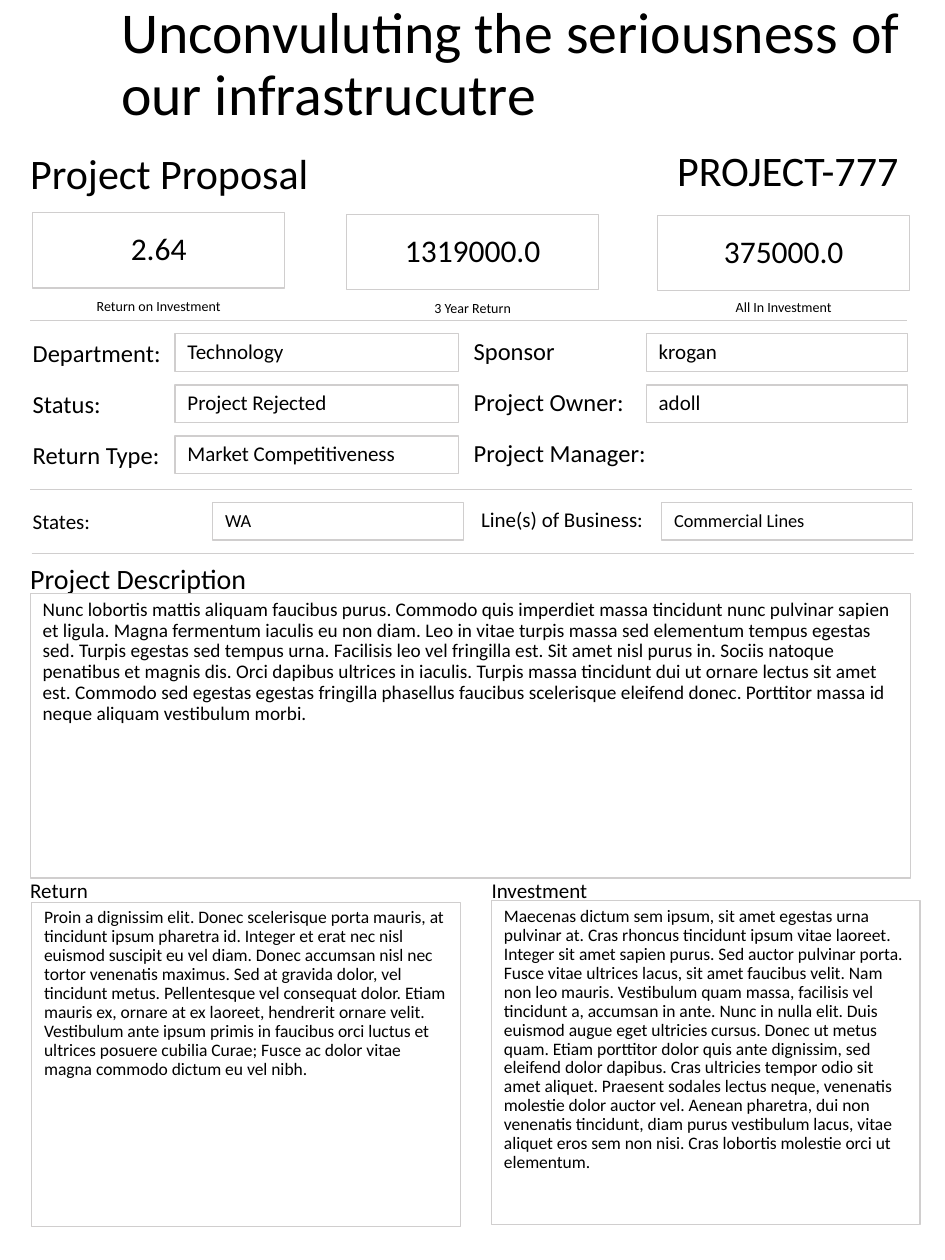
from lxml.etree import SubElement
from pptx import Presentation
from pptx.dml.color import RGBColor
from pptx.enum.shapes import MSO_CONNECTOR, MSO_SHAPE
from pptx.enum.text import MSO_ANCHOR as ANCHOR, MSO_AUTO_SIZE as AUTO, PP_ALIGN as ALIGN
from pptx.oxml.ns import qn
from pptx.util import Cm, Pt

BLACK = RGBColor(0x00, 0x00, 0x00)
GREY = RGBColor(0xD0, 0xCE, 0xCE)
FONT = "Calibri"

DESCRIPTION = (
    "Nunc lobortis mattis aliquam faucibus purus. Commodo quis imperdiet massa "
    "tincidunt nunc pulvinar sapien et ligula. Magna fermentum iaculis eu non diam. "
    "Leo in vitae turpis massa sed elementum tempus egestas sed. Turpis egestas sed "
    "tempus urna. Facilisis leo vel fringilla est. Sit amet nisl purus in. Sociis "
    "natoque penatibus et magnis dis. Orci dapibus ultrices in iaculis. Turpis massa "
    "tincidunt dui ut ornare lectus sit amet est. Commodo sed egestas egestas "
    "fringilla phasellus faucibus scelerisque eleifend donec. Porttitor massa id "
    "neque aliquam vestibulum morbi."
)
RETURN = (
    "Proin a dignissim elit. Donec scelerisque porta mauris, at tincidunt ipsum "
    "pharetra id. Integer et erat nec nisl euismod suscipit eu vel diam. Donec "
    "accumsan nisl nec tortor venenatis maximus. Sed at gravida dolor, vel tincidunt "
    "metus. Pellentesque vel consequat dolor. Etiam mauris ex, ornare at ex laoreet, "
    "hendrerit ornare velit. Vestibulum ante ipsum primis in faucibus orci luctus et "
    "ultrices posuere cubilia Curae; Fusce ac dolor vitae magna commodo dictum eu "
    "vel nibh."
)
INVESTMENT = (
    "Maecenas dictum sem ipsum, sit amet egestas urna pulvinar at. Cras rhoncus "
    "tincidunt ipsum vitae laoreet. Integer sit amet sapien purus. Sed auctor "
    "pulvinar porta. Fusce vitae ultrices lacus, sit amet faucibus velit. Nam non leo "
    "mauris. Vestibulum quam massa, facilisis vel tincidunt a, accumsan in ante. Nunc "
    "in nulla elit. Duis euismod augue eget ultricies cursus. Donec ut metus quam. "
    "Etiam porttitor dolor quis ante dignissim, sed eleifend dolor dapibus. Cras "
    "ultricies tempor odio sit amet aliquet. Praesent sodales lectus neque, venenatis "
    "molestie dolor auctor vel. Aenean pharetra, dui non venenatis tincidunt, diam "
    "purus vestibulum lacus, vitae aliquet eros sem non nisi. Cras lobortis molestie "
    "orci ut elementum."
)


class Sheet:
    """Style and current slide of the proposal."""

    def __init__(self, slide):
        self.s = slide

    def set_text(self, sp, text, size, align=ALIGN.LEFT, anchor=ANCHOR.TOP,
                 inset=True, spacing=None, before=0):
        tf = sp.text_frame
        tf.word_wrap = True
        tf.auto_size = AUTO.NONE
        tf.vertical_anchor = anchor
        tf.margin_left = tf.margin_right = Cm(0.25 if inset else 0)
        tf.margin_top = tf.margin_bottom = Cm(0.13 if inset else 0)
        p = tf.paragraphs[0]
        p.alignment = align
        p.space_before = Pt(before)
        if spacing:
            p.line_spacing = spacing
        r = p.add_run()
        r.text = text
        r.font.name, r.font.size = FONT, Pt(size)
        r.font.color.rgb = BLACK

    def title(self, text, x, y, w, h, size):
        sp = self.s.shapes.title
        sp.left, sp.top, sp.width, sp.height = Cm(x), Cm(y), Cm(w), Cm(h)
        self.set_text(sp, text, size, anchor=ANCHOR.MIDDLE, inset=False, spacing=0.9)

    def label(self, text, x, y, w, h, size, **style):
        sp = self.s.shapes.add_textbox(Cm(x), Cm(y), Cm(w), Cm(h))
        self.set_text(sp, text, size, **{"inset": False, **style})

    def box(self, text, x, y, w, h, size, **style):
        sp = self.s.shapes.add_shape(MSO_SHAPE.RECTANGLE, Cm(x), Cm(y), Cm(w), Cm(h))
        sp.shadow.inherit = False
        sp.fill.background()
        sp.line.color.rgb, sp.line.width = GREY, Pt(0.75)
        self.set_text(sp, text, size, spacing=0.9, before=7.5, **style)

    def rule(self, x1, x2, y):
        line = self.s.shapes.add_connector(
            MSO_CONNECTOR.STRAIGHT, Cm(x1), Cm(y), Cm(x2), Cm(y))
        line.line.color.rgb, line.line.width = GREY, Pt(0.5)
        SubElement(line._element.spPr, qn("a:effectLst"))


def main():
    prs = Presentation()
    prs.slide_width, prs.slide_height = Cm(19.05), Cm(25.4)
    sheet = Sheet(prs.slides.add_slide(prs.slide_layouts[5]))

    # Heading
    sheet.title("Unconvuluting the seriousness of our infrastrucutre",
                2.44, 0.69, 15.88, 1.27, 33)
    sheet.label("Project Proposal", 0.61, 2.97, 8.64, 1.02, 24)
    sheet.label("PROJECT-777", 9.8, 2.97, 8.56, 1.02, 24, align=ALIGN.RIGHT,
                anchor=ANCHOR.MIDDLE, inset=True, spacing=0.9, before=7.5)

    # Key figures
    for value, caption, x, y, caption_y in [
        ("2.64", "Return on Investment", 0.66, 4.29, 5.87),
        ("1319000.0", "3 Year Return", 6.99, 4.32, 5.9),
        ("375000.0", "All In Investment", 13.26, 4.34, 5.88),
    ]:
        sheet.box(value, x, y, 5.08, 1.52, 18, align=ALIGN.CENTER, anchor=ANCHOR.MIDDLE)
        sheet.label(caption, x, caption_y, 5.08, 0.51, 8, align=ALIGN.CENTER, inset=True)

    # Dividers
    for x1, x2, y in [(0.61, 18.29, 6.45), (0.61, 18.39, 9.86), (0.64, 18.42, 11.15)]:
        sheet.rule(x1, x2, y)

    # Project fields: one column of labels and boxes on each side
    for label_x, label_y, label_w, box_x, box_w, fields in [
        (0.66, 6.81, 2.8, 3.53, 5.72,
         [("Department:", "Technology"), ("Status:", "Project Rejected"),
          ("Return Type:", "Market Competitiveness")]),
        (9.55, 6.78, 3.6, 13.03, 5.26,
         [("Sponsor", "krogan"), ("Project Owner:", "adoll"), ("Project Manager:", None)]),
    ]:
        for row, (name, value) in enumerate(fields):
            sheet.label(name, label_x, label_y + row * 1.03, label_w, 0.61, 14)
            if value:
                sheet.box(value, box_x, 6.73 + row * 1.03, box_w, 0.76, 12,
                          anchor=ANCHOR.MIDDLE)

    # States and lines of business
    for name, value, label_x, label_y, label_w, box_x in [
        ("States:", "WA", 0.66, 10.26, 1.3, 4.29),
        ("Line(s) of Business:", "Commercial Lines", 9.7, 10.21, 3.5, 13.34),
    ]:
        sheet.label(name, label_x, label_y, label_w, 0.51, 12)
        sheet.box(value, box_x, 10.13, 5.05, 0.76, 10.5, anchor=ANCHOR.MIDDLE)

    # Description, return and investment
    sheet.label("Project Description", 0.61, 11.33, 8.64, 0.64, 16)
    sheet.box(DESCRIPTION, 0.61, 11.96, 17.75, 5.74, 11)
    for name, text, label_x, box_x, box_y in [
        ("Return", RETURN, 0.61, 0.64, 18.19),
        ("Investment", INVESTMENT, 9.91, 9.91, 18.16),
    ]:
        sheet.label(name, label_x, 17.7, 8.64, 0.46, 12)
        sheet.box(text, box_x, box_y, 8.64, 6.53, 10)

    prs.save("out.pptx")


if __name__ == "__main__":
    main()
